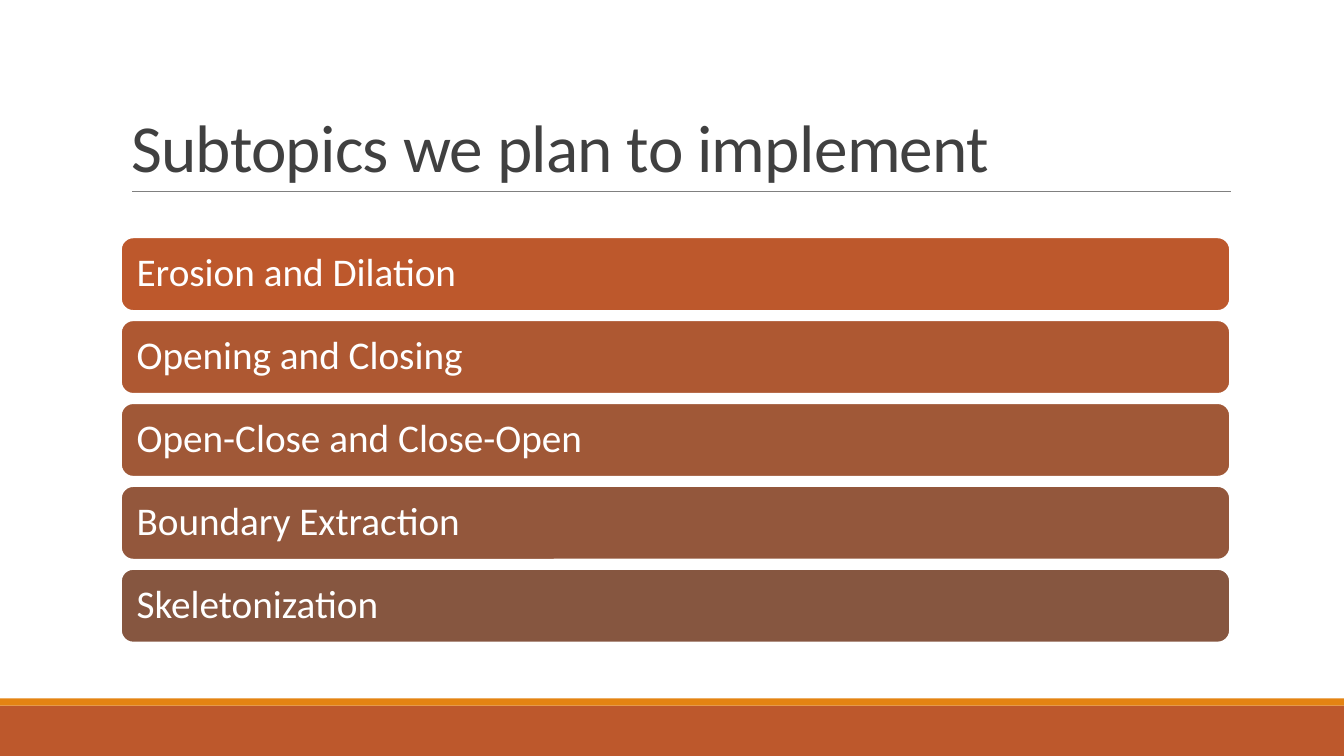
import pptx
import pptx.util
import pptx.dml.color
import pptx.enum.shapes
import pptx.enum.text
from lxml import etree

Inches, Pt = pptx.util.Inches, pptx.util.Pt
SHAPE = pptx.enum.shapes.MSO_SHAPE
ANCHOR = pptx.enum.text.MSO_ANCHOR
LEFT = pptx.enum.text.PP_ALIGN.LEFT

TITLE = "Subtopics we plan to implement"
TOPICS = [
    ("Erosion and Dilation", "BD582C"),
    ("Opening and Closing", "AE5832"),
    ("Open-Close and Close-Open", "A05837"),
    ("Boundary Extraction", "93573C"),
    ("Skeletonization", "865640"),
]
BANDS = [(7, 0.5, "BD582C"), (6.93, 0.07, "E48312")]
WIDTH, HEIGHT = 13.33, 7.5
EDGE, SPAN = 1.2, 11
TOP, STEP, TALL = 2.355, 0.8225, 0.73


def color(code):
    return pptx.dml.color.RGBColor.from_string(code)


def block(slide, kind, box, fill):
    """Add a filled shape without line or shadow."""
    shape = slide.shapes.add_shape(kind, *map(Inches, box))
    shape.shadow.inherit = False
    shape.fill.solid()
    shape.fill.fore_color.rgb = color(fill)
    shape.line.fill.background()
    return shape


def write(frame, text, size, ink, space, anchor):
    """Set one left-aligned paragraph and return its run."""
    frame.word_wrap = True
    frame.auto_size = pptx.enum.text.MSO_AUTO_SIZE.NONE
    frame.vertical_anchor = anchor
    para = frame.paragraphs[0]
    para.alignment = LEFT
    para.line_spacing = space
    run = para.add_run()
    run.text = text
    run.font.name = "Calibri"
    run.font.size = Pt(size)
    run.font.color.rgb = color(ink)
    return run


def main():
    deck = pptx.Presentation()
    deck.slide_width, deck.slide_height = Inches(WIDTH), Inches(HEIGHT)
    slide = deck.slides.add_slide(deck.slide_layouts[5])

    for top, tall, fill in BANDS:
        block(slide, SHAPE.RECTANGLE, (0, top, WIDTH, tall), fill)

    rule = slide.shapes.add_connector(
        pptx.enum.shapes.MSO_CONNECTOR.STRAIGHT,
        Inches(1.31), Inches(1.9), Inches(12.21), Inches(1.9))
    rule.line.color.rgb = color("808080")
    rule.line.width = Pt(0.5)
    etree.SubElement(rule._element.spPr, pptx.oxml.ns.qn("a:effectLst"))

    title = slide.shapes.title
    title.left, title.top = Inches(EDGE), Inches(0.31)
    title.width, title.height = Inches(SPAN), Inches(1.59)
    run = write(title.text_frame, TITLE, 48, "404040", 0.85, ANCHOR.BOTTOM)
    run.font._element.set("spc", "-50")

    for row, (text, fill) in enumerate(TOPICS):
        box = (EDGE, TOP + row * STEP, SPAN, TALL)
        bar = block(slide, SHAPE.ROUNDED_RECTANGLE, box, fill)
        bar.line.color.rgb = color("FFFFFF")
        bar.line.width = Pt(1.25)
        frame = bar.text_frame
        frame.margin_left = frame.margin_right = Inches(0.12)
        frame.margin_top = frame.margin_bottom = Inches(0.12)
        write(frame, text, 28, "FFFFFF", 0.9, ANCHOR.MIDDLE)

    deck.save("out.pptx")


if __name__ == "__main__":
    main()
